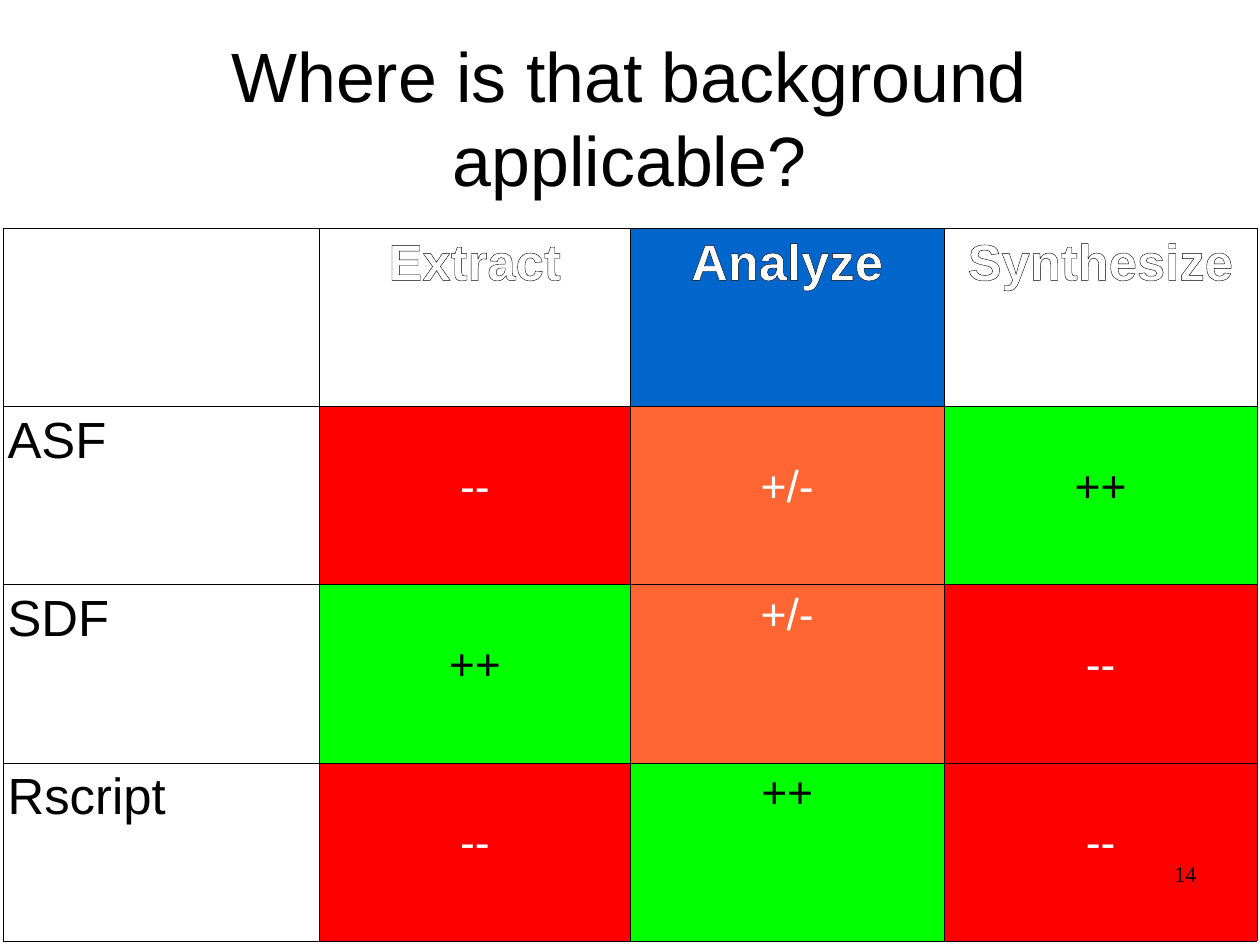
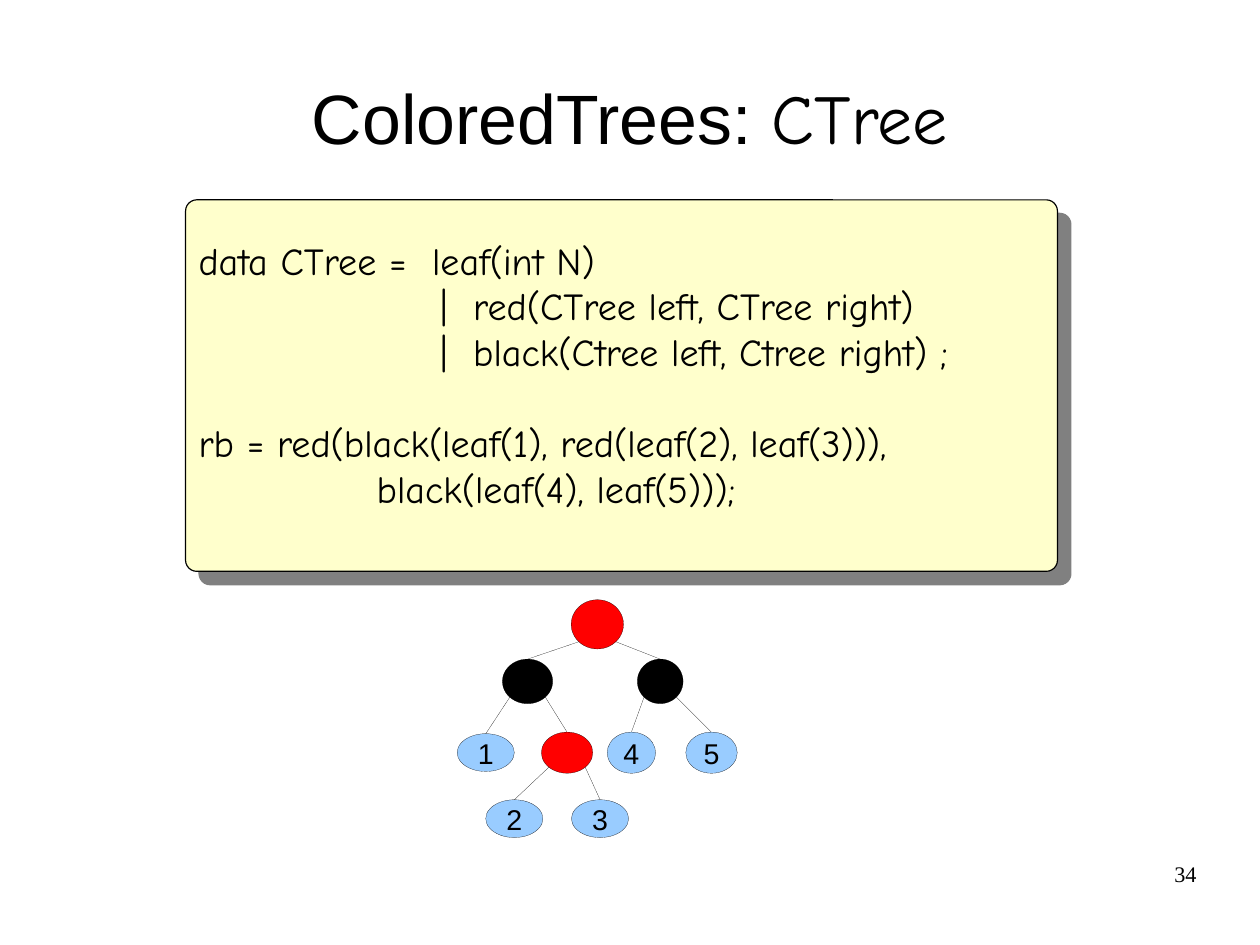
"""Builds two slides: a table of where a background applies, and the CTree data type with its tree."""
from lxml import etree
from pptx import Presentation
from pptx.dml.color import RGBColor
from pptx.enum.shapes import MSO_CONNECTOR, MSO_SHAPE
from pptx.enum.text import MSO_ANCHOR, MSO_AUTO_SIZE, PP_ALIGN
from pptx.oxml import parse_xml
from pptx.oxml.ns import nsdecls, qn
from pptx.util import Pt

STRAIGHT = MSO_CONNECTOR.STRAIGHT
ROUNDED, OVAL = MSO_SHAPE.ROUNDED_RECTANGLE, MSO_SHAPE.OVAL
TOP, MIDDLE = MSO_ANCHOR.TOP, MSO_ANCHOR.MIDDLE
LEFT, CENTER, RIGHT = PP_ALIGN.LEFT, PP_ALIGN.CENTER, PP_ALIGN.RIGHT
NO_FIT = MSO_AUTO_SIZE.NONE

SLIDE_SIZE = (793.7, 595.28)
SANS, SCRIPT, SERIF = "Arial", "Comic Neue", "Times New Roman"
BLACK, WHITE, RED, ORANGE, GREEN = "000000", "FFFFFF", "FF0000", "FF6633", "00FF00"
BLUE, LEAF_BLUE, CREAM, SHADOW_GRAY = "0066CC", "99CCFF", "FFFFCC", "808080"
TITLE_LEFT, TITLE_WIDTH, TITLE_SIZE = 39.6, 714.2, 44
PAGE_NUMBER_BOX = (568.8, 542.2, 185, 41)
HAIRLINE = 0.1

PHASES = [("Extract", None), ("Analyze", BLUE), ("Synthesize", None)]
RATING_COLORS = {"--": (RED, WHITE), "+/-": (ORANGE, WHITE), "++": (GREEN, BLACK)}
RATINGS = [
    ("ASF", ["--", "+/-", "++"]),
    ("SDF", ["++", "+/-", "--"]),
    ("Rscript", ["--", "++", "--"]),
]
RAISED_RATINGS = {("SDF", "Analyze"), ("Rscript", "Analyze")}
COLUMN_WIDTHS = [199.2, 195.8, 197.8, 197.1]
ROW_HEIGHT = 112.2
CELL_SIDE, CELL_TOP, RATING_TOP = 2.8, 3.6, 34.8

CODE_LINES = [
    ("data CTree =  leaf(int N)", 0),
    ("                   |  red(CTree left, CTree right)", 0),
    ("                   |  black(Ctree left, Ctree right) ;", 0),
    ("rb = red(black(leaf(1), red(leaf(2), leaf(3))),", 28.7),
    ("              black(leaf(4), leaf(5)));", 0),
]

TREE_NODES = {
    "root": (359.8, 377.8, 33, 31, RED, ""),
    "left": (316.5, 415.2, 31.7, 28.1, BLACK, ""),
    "right": (401.5, 415.2, 28.8, 28.1, BLACK, ""),
    "inner": (341, 461.2, 32.4, 25.9, RED, ""),
    "leaf 1": (288, 462.2, 36, 23.8, LEAF_BLUE, "1"),
    "leaf 2": (306, 503.8, 36, 23.8, LEAF_BLUE, "2"),
    "leaf 3": (360, 503.8, 36, 23.8, LEAF_BLUE, "3"),
    "leaf 4": (382.5, 461.2, 30.5, 25.9, LEAF_BLUE, "4"),
    "leaf 5": (432, 461.2, 32.4, 25.9, LEAF_BLUE, "5"),
}
TREE_CHILDREN = {
    "root": ("left", "right"),
    "left": ("leaf 1", "inner"),
    "right": ("leaf 4", "leaf 5"),
    "inner": ("leaf 2", "leaf 3"),
}
DIAGONAL = 0.5 ** 0.5


def rgb(color):
    return RGBColor.from_string(color)


def points(lengths):
    return [Pt(length) for length in lengths]


def paint(shape, fill, line_width):
    shape.fill.solid()
    shape.fill.fore_color.rgb = rgb(fill)
    shape.line.color.rgb = rgb(BLACK)
    shape.line.width = Pt(line_width)
    shape.shadow.inherit = False


def add_run(paragraph, text, size, font=SANS, color=BLACK, bold=False):
    run = paragraph.add_run()
    run.text = text
    run.font.size = Pt(size)
    run.font.name = font
    run.font.bold = bold
    run.font.color.rgb = rgb(color)
    return run


def set_frame(frame, anchor, margins=(0, 0, 0, 0), wrap=True):
    frame.auto_size = NO_FIT
    frame.word_wrap = wrap
    frame.vertical_anchor = anchor
    (frame.margin_left, frame.margin_top,
     frame.margin_right, frame.margin_bottom) = points(margins)


def add_titled_slide(deck, top, height, title_runs):
    slide = deck.slides.add_slide(deck.slide_layouts[5])
    title = slide.shapes.title
    title.left, title.top, title.width, title.height = points(
        (TITLE_LEFT, top, TITLE_WIDTH, height))
    set_frame(title.text_frame, MIDDLE)
    paragraph = title.text_frame.paragraphs[0]
    paragraph.alignment = CENTER
    for text, font in title_runs:
        add_run(paragraph, text, TITLE_SIZE, font)
    return slide


def add_page_number(slide, number):
    frame = slide.shapes.add_textbox(*points(PAGE_NUMBER_BOX)).text_frame
    set_frame(frame, TOP)
    frame.paragraphs[0].alignment = RIGHT
    add_run(frame.paragraphs[0], number, 14, SERIF)


def outline_text(run):
    run.font._element.insert(0, parse_xml(
        f'<a:ln {nsdecls("a")} w="{Pt(0.75)}"><a:solidFill>'
        f'<a:srgbClr val="{BLACK}"/></a:solidFill></a:ln>'))


def format_cell(cell, fill, top=CELL_TOP):
    cell.margin_left = cell.margin_right = Pt(CELL_SIDE)
    cell.margin_top, cell.margin_bottom = Pt(top), Pt(CELL_TOP)
    properties = cell._tc.get_or_add_tcPr()
    for side in ("lnL", "lnR", "lnT", "lnB"):
        properties.append(parse_xml(
            f'<a:{side} {nsdecls("a")} w="{Pt(0.57)}"><a:solidFill>'
            f'<a:srgbClr val="{BLACK}"/></a:solidFill></a:{side}>'))
    if fill:
        cell.fill.solid()
        cell.fill.fore_color.rgb = rgb(fill)
    else:
        cell.fill.background()


def write_cell(cell, text, size, alignment, color, bold=False):
    paragraph = cell.text_frame.paragraphs[0]
    paragraph.alignment = alignment
    return add_run(paragraph, text, size, color=color, bold=bold)


def add_ratings_table(slide):
    row_count = len(RATINGS) + 1
    table = slide.shapes.add_table(
        row_count, len(COLUMN_WIDTHS),
        *points((2, 144, sum(COLUMN_WIDTHS), row_count * ROW_HEIGHT))).table
    table.first_row = table.horz_banding = False
    for column, width in zip(table.columns, COLUMN_WIDTHS):
        column.width = Pt(width)
    for row in table.rows:
        row.height = Pt(ROW_HEIGHT)

    format_cell(table.cell(0, 0), None)
    for column, (phase, fill) in enumerate(PHASES, 1):
        header = table.cell(0, column)
        format_cell(header, fill)
        outline_text(write_cell(header, phase, 32, CENTER, WHITE, bold=True))
    for row, (language, ratings) in enumerate(RATINGS, 1):
        format_cell(table.cell(row, 0), None)
        write_cell(table.cell(row, 0), language, 32, LEFT, BLACK)
        for column, rating in enumerate(ratings, 1):
            fill, color = RATING_COLORS[rating]
            raised = (language, PHASES[column - 1][0]) in RAISED_RATINGS
            format_cell(table.cell(row, column), fill, CELL_TOP if raised else RATING_TOP)
            write_cell(table.cell(row, column), rating, 28, CENTER, color)


def add_code(slide):
    panel = slide.shapes.add_shape(ROUNDED, *points((116.9, 125.9, 549.2, 234)))
    panel.adjustments[0] = 0.03
    paint(panel, CREAM, 0.75)
    effects = panel._element.spPr.find(qn("a:effectLst"))
    shadow = etree.SubElement(effects, qn("a:outerShdw"), dist=str(Pt(12)),
                              dir="2700000", algn="tl", rotWithShape="0")
    etree.SubElement(shadow, qn("a:srgbClr"), val=SHADOW_GRAY)

    frame = slide.shapes.add_textbox(*points((118, 145.7, 520.6, 207.4))).text_frame
    set_frame(frame, TOP, (7.2, 3.6, 7.2, 3.6), wrap=False)
    for index, (line, gap) in enumerate(CODE_LINES):
        paragraph = frame.add_paragraph() if index else frame.paragraphs[0]
        paragraph.alignment = LEFT
        if gap:
            paragraph.space_before = Pt(gap)
        add_run(paragraph, line, 24, SCRIPT)


def add_tree(slide):
    tree = slide.shapes.add_group_shape().shapes
    nodes = {}
    for key, (left, top, width, height, fill, label) in TREE_NODES.items():
        node = nodes[key] = tree.add_shape(OVAL, *points((left, top, width, height)))
        paint(node, fill, HAIRLINE)
        if label:
            set_frame(node.text_frame, MIDDLE)
            node.text_frame.paragraphs[0].alignment = CENTER
            add_run(node.text_frame.paragraphs[0], label, 18)
    for parent, children in TREE_CHILDREN.items():
        left, top, width, height = TREE_NODES[parent][:4]
        for side, child in zip((-1, 1), children):
            x = left + width / 2 * (1 + side * DIAGONAL)
            y = top + height / 2 * (1 + DIAGONAL)
            branch = tree.add_connector(STRAIGHT, *points((x, y, x, y)))
            branch.end_connect(nodes[child], 0)
            branch.line.color.rgb = rgb(BLACK)
            branch.line.width = Pt(HAIRLINE)
            etree.SubElement(branch._element.spPr, qn("a:effectLst"))


def main():
    deck = Presentation()
    deck.slide_width, deck.slide_height = points(SLIDE_SIZE)

    applicability = add_titled_slide(
        deck, 13.2, 120.2, [("Where is that background applicable?", SANS)])
    add_ratings_table(applicability)
    add_page_number(applicability, "14")

    colored_trees = add_titled_slide(
        deck, 27.4, 92.2, [("ColoredTrees: ", SANS), ("CTree", SCRIPT)])
    add_code(colored_trees)
    add_tree(colored_trees)
    add_page_number(colored_trees, "34")

    deck.save("out.pptx")


if __name__ == "__main__":
    main()
